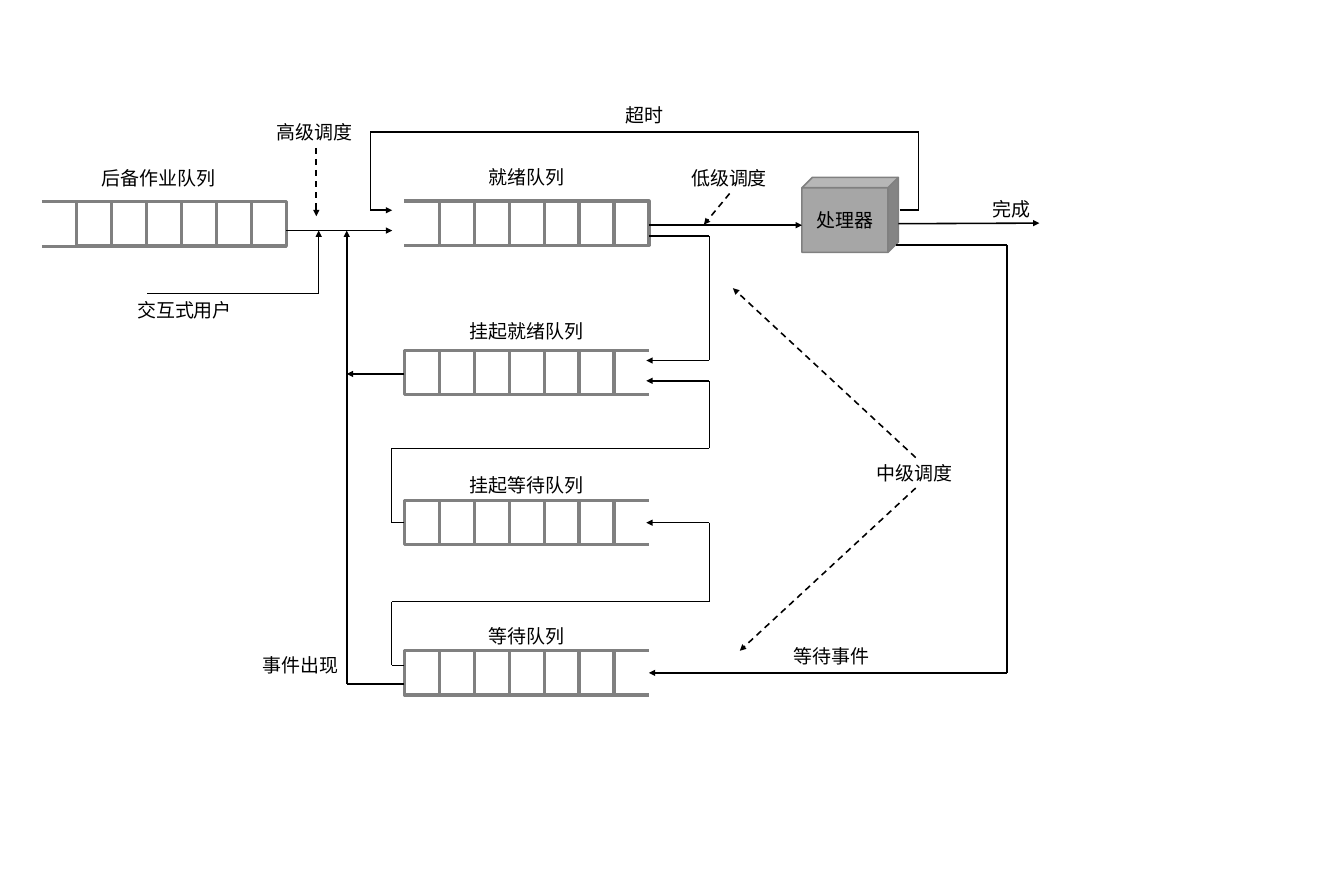
from dataclasses import dataclass
from itertools import pairwise

from lxml import etree
from pptx import Presentation
from pptx.dml.color import RGBColor
from pptx.enum.dml import MSO_LINE
from pptx.enum.shapes import MSO_CONNECTOR, MSO_SHAPE
from pptx.enum.text import MSO_ANCHOR, MSO_AUTO_SIZE, PP_ALIGN
from pptx.oxml.ns import qn
from pptx.util import Cm, Pt

STRAIGHT = MSO_CONNECTOR.STRAIGHT
RECTANGLE, CUBE = MSO_SHAPE.RECTANGLE, MSO_SHAPE.CUBE
DASH = MSO_LINE.DASH
CENTER, MIDDLE = PP_ALIGN.CENTER, MSO_ANCHOR.MIDDLE
FIT_TEXT = MSO_AUTO_SIZE.SHAPE_TO_FIT_TEXT


@dataclass(frozen=True)
class Theme:
    ink: RGBColor = RGBColor(0, 0, 0)
    edge: RGBColor = RGBColor(0x80, 0x80, 0x80)
    metal: RGBColor = RGBColor(0xA6, 0xA6, 0xA6)
    font: str = "Calibri"
    text_size: Pt = Pt(18)
    thin: Pt = Pt(1.5)
    thick: Pt = Pt(3)


@dataclass(frozen=True)
class Box:
    """An area of the page, in centimetres."""
    left: float
    top: float
    width: float
    height: float

    @property
    def right(self):
        return self.left + self.width

    @property
    def middle(self):
        return self.top + self.height / 2


THEME = Theme()
CELLS, CELL_WIDTH, CELL_HEIGHT = 7, 1.17, 1.48
CHARACTER_WIDTH, LABEL_PADDING, LABEL_HEIGHT = 0.635, 0.5, 1.02


def set_line(shape, color, width):
    shape.line.color.rgb = color
    shape.line.width = width


def write(frame, text):
    para = frame.paragraphs[0]
    span = para.add_run()
    span.text = text
    formats = {"name": THEME.font, "size": THEME.text_size}
    for name, value in formats.items():
        setattr(span.font, name, value)
    span.font.color.rgb = THEME.ink
    return para


def label_width(text):
    return len(text) * CHARACTER_WIDTH + LABEL_PADDING


def add_label(page, text, left, top):
    box = page.shapes.add_textbox(
        Cm(left), Cm(top), Cm(label_width(text)), Cm(LABEL_HEIGHT))
    box.text_frame.word_wrap = False
    box.text_frame.auto_size = FIT_TEXT
    write(box.text_frame, text)


def add_segment(shapes, start, end, color=THEME.ink, width=THEME.thin):
    segment = shapes.add_connector(STRAIGHT, *map(Cm, (*start, *end)))
    set_line(segment, color, width)
    etree.SubElement(segment.element.spPr, qn("a:effectLst"))
    return segment


def add_route(page, *points, dashed=False):
    """Join the points by straight segments, the last one with an arrowhead."""
    for start, end in pairwise(points):
        segment = add_segment(page.shapes, start, end)
        if dashed:
            segment.line.dash_style = DASH
    outline = segment.element.spPr.find(qn("a:ln"))
    etree.SubElement(outline, qn("a:tailEnd"), type="triangle")


def add_queue(page, box, title, title_rise, title_shift=0, open_left=False):
    shapes = page.shapes.add_group_shape().shapes
    open_cell = 0 if open_left else CELLS - 1
    for index in range(CELLS):
        left = box.left + index * CELL_WIDTH
        if index == open_cell:
            for y in (box.top, box.top + box.height):
                add_segment(shapes, (left, y), (left + CELL_WIDTH, y),
                            THEME.edge, THEME.thick)
            continue
        cell = shapes.add_shape(RECTANGLE, Cm(left), Cm(box.top),
                                Cm(CELL_WIDTH), Cm(box.height))
        cell.shadow.inherit = False
        cell.fill.background()
        set_line(cell, THEME.edge, THEME.thick)
    title_left = box.left + (box.width - label_width(title)) / 2 + title_shift
    add_label(page, title, title_left, box.top - title_rise)


def add_processor(page, box):
    cube = page.shapes.add_shape(
        CUBE, Cm(box.left), Cm(box.top), Cm(box.width), Cm(box.height))
    cube.adjustments[0] = 0.139
    cube.shadow.inherit = False
    cube.fill.solid()
    cube.fill.fore_color.rgb = THEME.metal
    set_line(cube, THEME.edge, THEME.thin)
    cube.text_frame.vertical_anchor = MIDDLE
    write(cube.text_frame, "处理器").alignment = CENTER


def add_admission(page, backlog, ready):
    entry = backlog.top + 0.96
    add_route(page, (backlog.right, entry), (ready.left - 0.41, entry))
    # Interactive users
    user_x, user_y = backlog.right + 1.08, entry + 2.11
    add_route(page, (backlog.left + 3.53, user_y), (user_x, user_y),
              (user_x, entry))
    add_label(page, "交互式用户", backlog.left + 2.94, user_y + 0.03)
    # High-level scheduling
    high_x = backlog.right + 1
    add_route(page, (high_x, entry - 2.77), (high_x, entry - 0.48), dashed=True)
    add_label(page, "高级调度", high_x - 1.57, entry - 3.81)


def add_dispatch(page, ready, processor):
    # Low-level scheduling
    dispatch = ready.top + 0.81
    add_route(page, (ready.right, dispatch), (processor.left, dispatch))
    add_route(page, (ready.right + 2.7, dispatch - 1.06),
              (ready.right + 1.84, dispatch - 0.02), dashed=True)
    add_label(page, "低级调度", ready.right + 1.16, dispatch - 2.08)
    # Timeout
    back, roof = ready.top + 0.31, ready.top - 2.31
    outer, inner = processor.right + 0.68, ready.left - 1.14
    add_route(page, (processor.right + 0.04, back), (outer, back),
              (outer, roof), (inner, roof), (inner, back),
              (ready.left - 0.41, back))
    add_label(page, "超时", ready.right - 1.03, roof - 1.07)
    # Completion
    add_route(page, (processor.right, processor.top + 1.55),
              (processor.right + 4.72, processor.top + 1.53))
    add_label(page, "完成", processor.right + 2.89, processor.top + 0.54)


def add_waiting(page, processor, waiting):
    start, turn = processor.top + 2.26, processor.right + 3.63
    add_route(page, (processor.right - 0.08, start), (turn, start),
              (turn, waiting.middle), (waiting.right, waiting.middle))
    add_label(page, "等待事件", waiting.right + 4.58, waiting.top - 0.33)


def add_swapping(page, ready, suspended_ready, suspended_waiting, waiting):
    turn = ready.right + 2.02
    tip = ready.right - 0.09
    # Ready to suspended ready
    leave, arrive = ready.top + 1.17, suspended_ready.top + 0.34
    add_route(page, (ready.right, leave), (turn, leave), (turn, arrive),
              (tip, arrive))
    # Each waiting queue to the queue above it
    climbs = (
        (suspended_waiting, 0.74, 15.01, suspended_ready.top + 1.02),
        (waiting, 0.49, 20.14, suspended_waiting.middle),
    )
    for queue, drop, lane, target in climbs:
        side, exit_y = queue.left - 0.43, queue.top + drop
        add_route(page, (queue.left, exit_y), (side, exit_y), (side, lane),
                  (turn, lane), (turn, target), (tip, target))


def add_return(page, ready, suspended_ready, waiting):
    bus = ready.left - 1.93
    leave = waiting.top + 1.12
    add_route(page, (waiting.left, leave), (bus, leave), (bus, ready.top + 0.99))
    add_label(page, "事件出现", bus - 3.08, waiting.top - 0.02)
    level = suspended_ready.top + 0.79
    add_route(page, (suspended_ready.left, level), (bus, level))


def add_middle_scheduling(page, box):
    add_label(page, "中级调度", box.left, box.top)
    start = box.left + 1.55
    add_route(page, (start, box.top), (box.left - 4.57, box.top - 5.67),
              dashed=True)
    add_route(page, (start, box.top + box.height),
              (box.left - 4.34, box.top + 6.47), dashed=True)


def main():
    deck = Presentation()
    deck.slide_width, deck.slide_height = Cm(45), Cm(30)
    page = deck.slides.add_slide(deck.slide_layouts[6])

    queue_size = CELLS * CELL_WIDTH, CELL_HEIGHT
    backlog = Box(1.4, 6.76, *queue_size)
    ready = Box(13.54, 6.73, *queue_size)
    suspended_ready, suspended_waiting, waiting = (
        Box(ready.left, 11.73 + row * 5.03, *queue_size) for row in range(3))
    processor = Box(26.85, 5.94, 3.23, 2.51)

    # Queues and processor
    add_processor(page, processor)
    add_queue(page, backlog, "后备作业队列", 1.32, -0.19, open_left=True)
    add_queue(page, ready, "就绪队列", 1.3, open_left=True)
    add_queue(page, suspended_ready, "挂起就绪队列", 1.17)
    add_queue(page, suspended_waiting, "挂起等待队列", 1.04)
    add_queue(page, waiting, "等待队列", 1.02)

    # Flows
    add_admission(page, backlog, ready)
    add_dispatch(page, ready, processor)
    add_waiting(page, processor, waiting)
    add_swapping(page, ready, suspended_ready, suspended_waiting, waiting)
    add_return(page, ready, suspended_ready, waiting)
    add_middle_scheduling(page, Box(29.11, 15.32, 3.04, LABEL_HEIGHT))

    deck.save("out.pptx")


if __name__ == "__main__":
    main()
